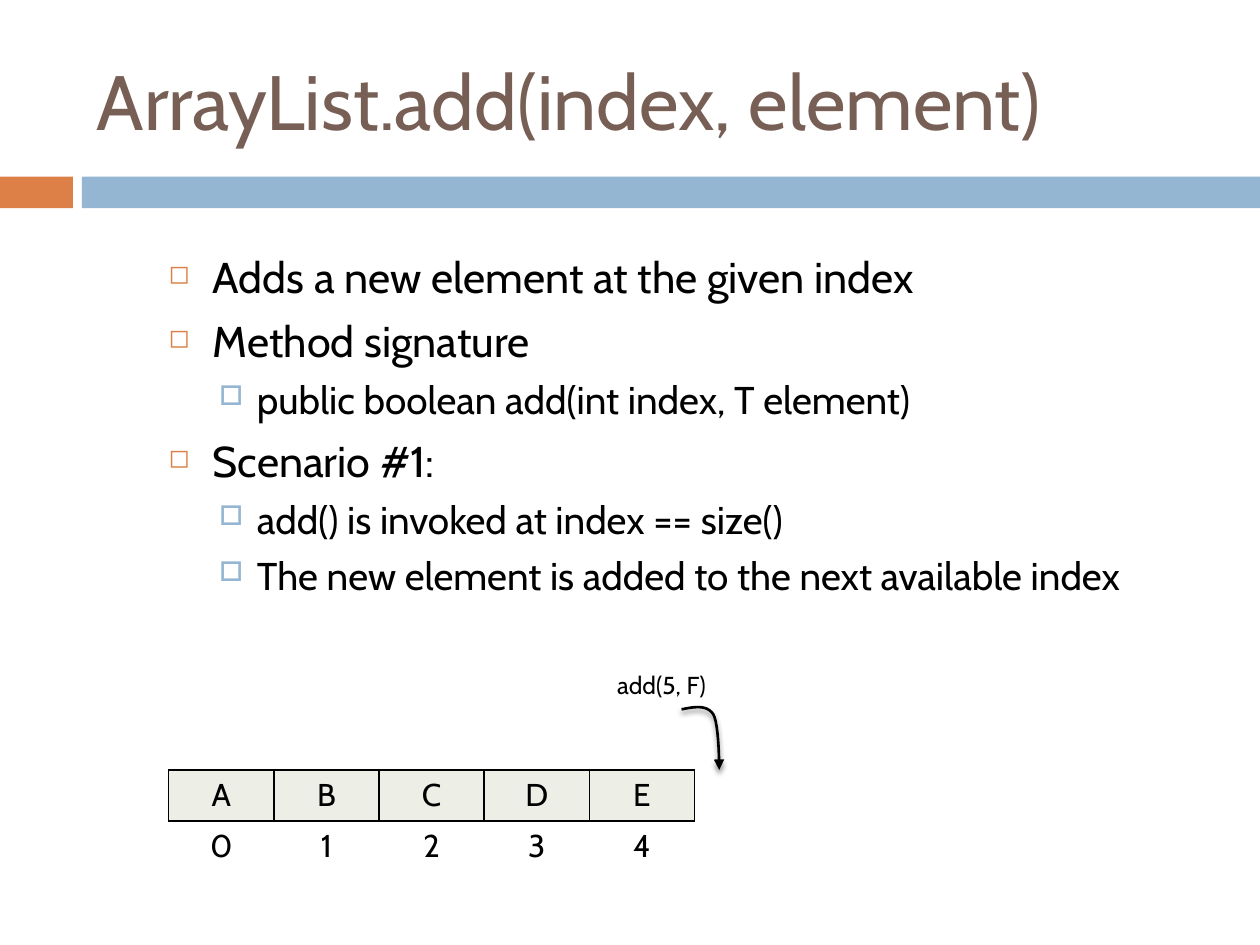
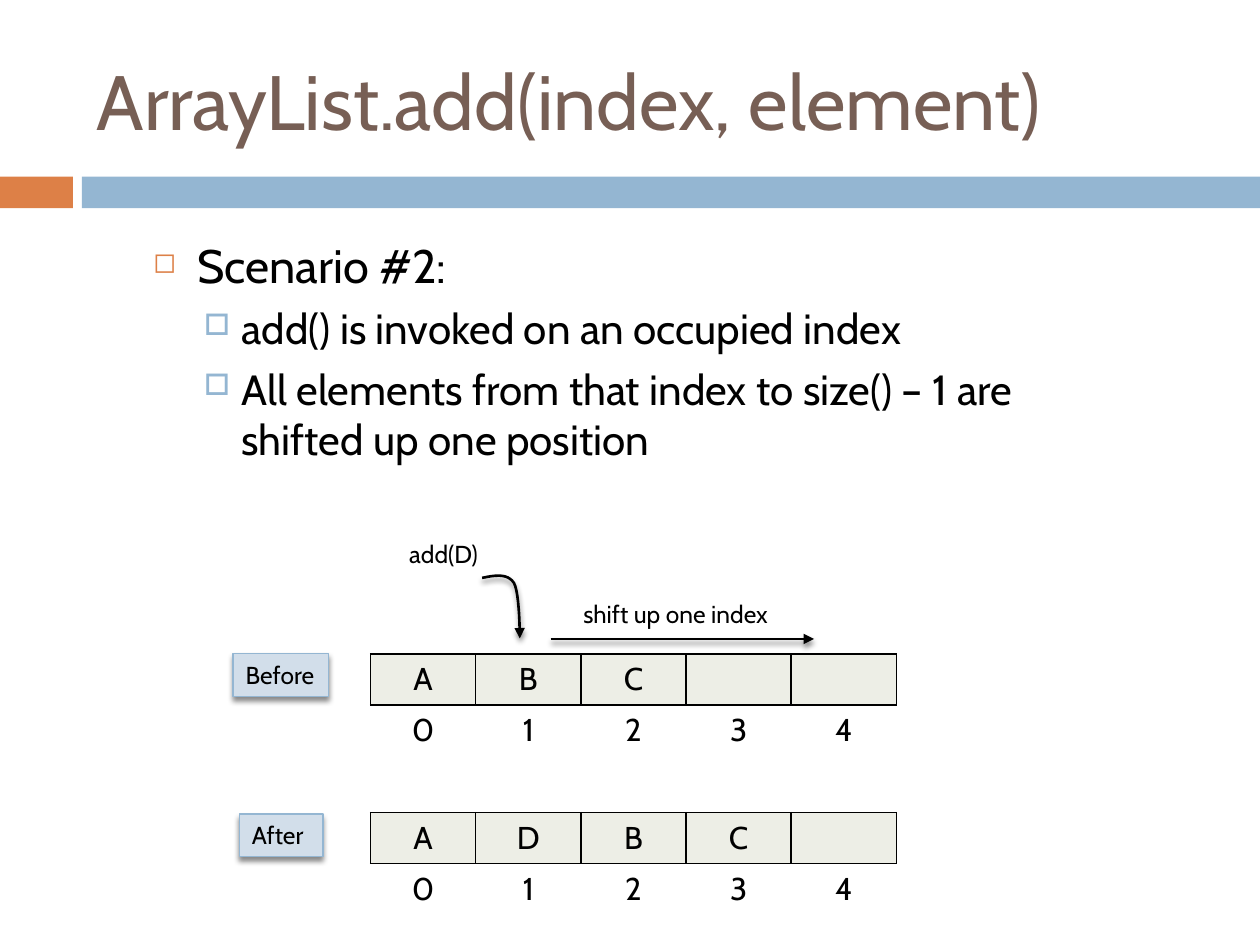
import lxml.etree
import pptx
import pptx.dml.color
import pptx.enum.dml
import pptx.enum.shapes
import pptx.enum.text
import pptx.oxml.ns
import pptx.util

Cm = pptx.util.Cm
Pt = pptx.util.Pt
qn = pptx.oxml.ns.qn
RECTANGLE = pptx.enum.shapes.MSO_SHAPE.RECTANGLE
ALIGN = pptx.enum.text.PP_ALIGN
ANCHOR = pptx.enum.text.MSO_ANCHOR

FONT = "Cabin"
BLACK, BROWN, ORANGE, BLUE = "000000", "775F55", "DD8047", "94B6D2"
CELL_FILL, TAG_FILL = "EDEEE6", "D2DEEA"
TITLE = "ArrayList.add(index, element)"
PAGE_WIDTH, PAGE_HEIGHT = 25.4, 19.05
CELL_WIDTH, CELL_HEIGHT = 2.12, 1.03
LABEL_HEIGHT = 0.86

# level: (left margin, hanging indent, space before, bullet, colour, bullet size %)
BULLETS = {
    0: (0.89, 0.89, 7, "◻", ORANGE, 60),
    1: (1.78, 0.76, 5.5, "□", BLUE, 70),
}
# Two cubic Bezier pieces, measured in cm from the tail of the arrow
HOOK = [
    [(0, 0), (0.25, -0.05), (0.51, -0.1), (0.64, 0.1)],
    [(0.64, 0.1), (0.76, 0.3), (0.76, 1.22), (0.76, 1.22)],
]


def color(hex_string):
    return pptx.dml.color.RGBColor.from_string(hex_string)


def add_xml(parent, tag, **attributes):
    values = {name: str(value) for name, value in attributes.items()}
    return lxml.etree.SubElement(parent, qn(tag), values)


def paint(fill, hex_string):
    fill.solid()
    fill.fore_color.rgb = color(hex_string)


def set_font(para, size, hex_string=BLACK):
    para.font.name = FONT
    para.font.size = Pt(size)
    para.font.color.rgb = color(hex_string)


def add_shadow(shape):
    """Drop a soft shadow straight down; call it after fill and line are set."""
    effects = add_xml(shape._element.spPr, "a:effectLst")
    shadow = add_xml(effects, "a:outerShdw", blurRad=Pt(3), dist=Pt(2.4),
                     dir=5400000, algn="ctr", rotWithShape=0)
    shade = add_xml(shadow, "a:srgbClr", val=BLACK)
    add_xml(shade, "a:alpha", val=45000)


def style_arrow(arrow):
    arrow.line.color.rgb = color(BLACK)
    arrow.line.width = Pt(1.5)
    add_xml(arrow.line._get_or_add_ln(), "a:tailEnd", type="triangle")
    add_shadow(arrow)


def add_frame(page, title):
    """Title and the two-colour band below it."""
    for left, width, fill in ((0, 1.47, ORANGE), (1.65, PAGE_WIDTH - 1.65, BLUE)):
        band = page.shapes.add_shape(RECTANGLE, Cm(left), Cm(3.56), Cm(width), Cm(0.64))
        band.shadow.inherit = False
        paint(band.fill, fill)
        band.line.fill.background()
    box = page.shapes.add_textbox(Cm(1.7), Cm(0.64), Cm(22.66), Cm(2.74))
    box.text_frame.word_wrap = True
    box.text_frame.vertical_anchor = ANCHOR.MIDDLE
    para = box.text_frame.paragraphs[0]
    para.text = title
    set_font(para, 44, BROWN)


def add_bullets(page, left, top, height, sizes, items):
    """Outline of (level, text) items; sizes holds the text size of each level."""
    box = page.shapes.add_textbox(Cm(left), Cm(top), Cm(20.02), Cm(height))
    frame = box.text_frame
    frame.word_wrap = True
    for number, (level, text) in enumerate(items):
        para = frame.add_paragraph() if number else frame.paragraphs[0]
        para.text = text
        para.level = level
        margin, hanging, space, bullet, bullet_color, percent = BULLETS[level]
        para.space_before = Pt(space)
        properties = para._p.get_or_add_pPr()
        properties.set("marL", str(Cm(margin)))
        properties.set("indent", str(-Cm(hanging)))
        add_xml(add_xml(properties, "a:buClr"), "a:srgbClr", val=bullet_color)
        add_xml(properties, "a:buSzPct", val=percent * 1000)
        add_xml(properties, "a:buChar", char=bullet)
        set_font(para, sizes[level])


def set_borders(cell, visible_sides):
    properties = cell._tc.get_or_add_tcPr()
    for position, side in enumerate("LRTB"):
        border = lxml.etree.Element(qn(f"a:ln{side}"), w=str(Pt(1)))
        if side in visible_sides:
            add_xml(add_xml(border, "a:solidFill"), "a:srgbClr", val=BLACK)
        else:
            add_xml(border, "a:noFill")
        properties.insert(position, border)


def add_array(page, left, top, elements):
    """Row of array cells with the indexes below them."""
    count = len(elements)
    table = page.shapes.add_table(2, count, Cm(left), Cm(top),
                                  Cm(count * CELL_WIDTH), Cm(2 * CELL_HEIGHT)).table
    table.first_row = table.horz_banding = False
    for row in table.rows:
        row.height = Cm(CELL_HEIGHT)
    for index, element in enumerate(elements):
        table.columns[index].width = Cm(CELL_WIDTH)
        value_cell, index_cell = table.cell(0, index), table.cell(1, index)
        paint(value_cell.fill, CELL_FILL)
        index_cell.fill.background()
        for cell, text, sides in ((value_cell, element, "LRTB"),
                                  (index_cell, str(index), "T")):
            set_borders(cell, sides)
            para = cell.text_frame.paragraphs[0]
            if text:
                para.text = text
            para.alignment = ALIGN.CENTER
            set_font(para, 18)


def write_label(shape, text):
    frame = shape.text_frame
    frame.word_wrap = False
    frame.auto_size = pptx.enum.text.MSO_AUTO_SIZE.SHAPE_TO_FIT_TEXT
    frame.vertical_anchor = ANCHOR.TOP
    para = frame.paragraphs[0]
    para.text = text
    para.alignment = ALIGN.LEFT
    set_font(para, 14)


def add_label(page, left, top, width, text):
    box = page.shapes.add_textbox(Cm(left), Cm(top), Cm(width), Cm(LABEL_HEIGHT))
    write_label(box, text)


def add_tag(page, left, top, width, text):
    tag = page.shapes.add_shape(RECTANGLE, Cm(left), Cm(top), Cm(width), Cm(LABEL_HEIGHT))
    paint(tag.fill, TAG_FILL)
    tag.line.color.rgb = color(BLUE)
    tag.line.width = Pt(0.79)
    add_shadow(tag)
    write_label(tag, text)


def bezier_point(controls, t):
    weights = ((1 - t) ** 3, 3 * t * (1 - t) ** 2, 3 * t ** 2 * (1 - t), t ** 3)
    return [sum(weight * point[axis] for weight, point in zip(weights, controls))
            for axis in (0, 1)]


def add_call(page, left, top, label_left, label_width, text):
    """Method call with a hooked arrow that starts at left, top."""
    steps = 12
    points = [bezier_point(piece, step / steps)
              for piece in HOOK for step in range(1, steps + 1)]
    builder = page.shapes.build_freeform(Cm(left), Cm(top))
    builder.add_line_segments([(Cm(left + x), Cm(top + y)) for x, y in points], close=False)
    hook = builder.convert_to_shape()
    hook.fill.background()
    style_arrow(hook)
    add_label(page, label_left, top - 0.91, label_width, text)


def add_shift(page, left, top, width, text):
    """Straight arrow with its label above."""
    arrow = page.shapes.add_connector(pptx.enum.shapes.MSO_CONNECTOR.STRAIGHT,
                                      Cm(left), Cm(top), Cm(left + width), Cm(top))
    style_arrow(arrow)
    add_label(page, left + 0.41, top - 0.92, 4.27, text)


def build_append_page(page):
    add_frame(page, TITLE)
    add_bullets(page, 3.15, 4.93, 7.16, (24.6, 22.1), [
        (0, "Adds a new element at the given index"),
        (0, "Method signature"),
        (1, "public boolean add(int index, T element)"),
        (0, "Scenario #1:"),
        (1, "add() is invoked at index == size()"),
        (1, "The new element is added to the next available index"),
    ])
    add_array(page, 3.4, 15.52, ["A", "B", "C", "D", "E"])
    add_call(page, 13.74, 14.3, 12.19, 2.41, "add(5, F)")


def build_insert_page(page):
    add_frame(page, TITLE)
    add_bullets(page, 2.84, 4.65, 4.57, (26.8, 24.1), [
        (0, "Scenario #2:"),
        (1, "add() is invoked on an occupied index"),
        (1, "All elements from that index to size() – 1 are shifted up one position"),
    ])
    add_array(page, 7.47, 13.18, ["A", "B", "C", "", ""])
    add_call(page, 9.72, 11.65, 8, 1.93, "add(D)")
    add_shift(page, 11.1, 12.88, 5.31, "shift up one index")
    add_array(page, 7.47, 16.38, ["A", "D", "B", "C", ""])
    add_tag(page, 4.7, 13.18, 1.93, "Before")
    add_tag(page, 4.83, 16.41, 1.68, "After")


def main():
    deck = pptx.Presentation()
    deck.slide_width, deck.slide_height = Cm(PAGE_WIDTH), Cm(PAGE_HEIGHT)
    for build in (build_append_page, build_insert_page):
        build(deck.slides.add_slide(deck.slide_layouts[6]))
    deck.save("out.pptx")


if __name__ == "__main__":
    main()
